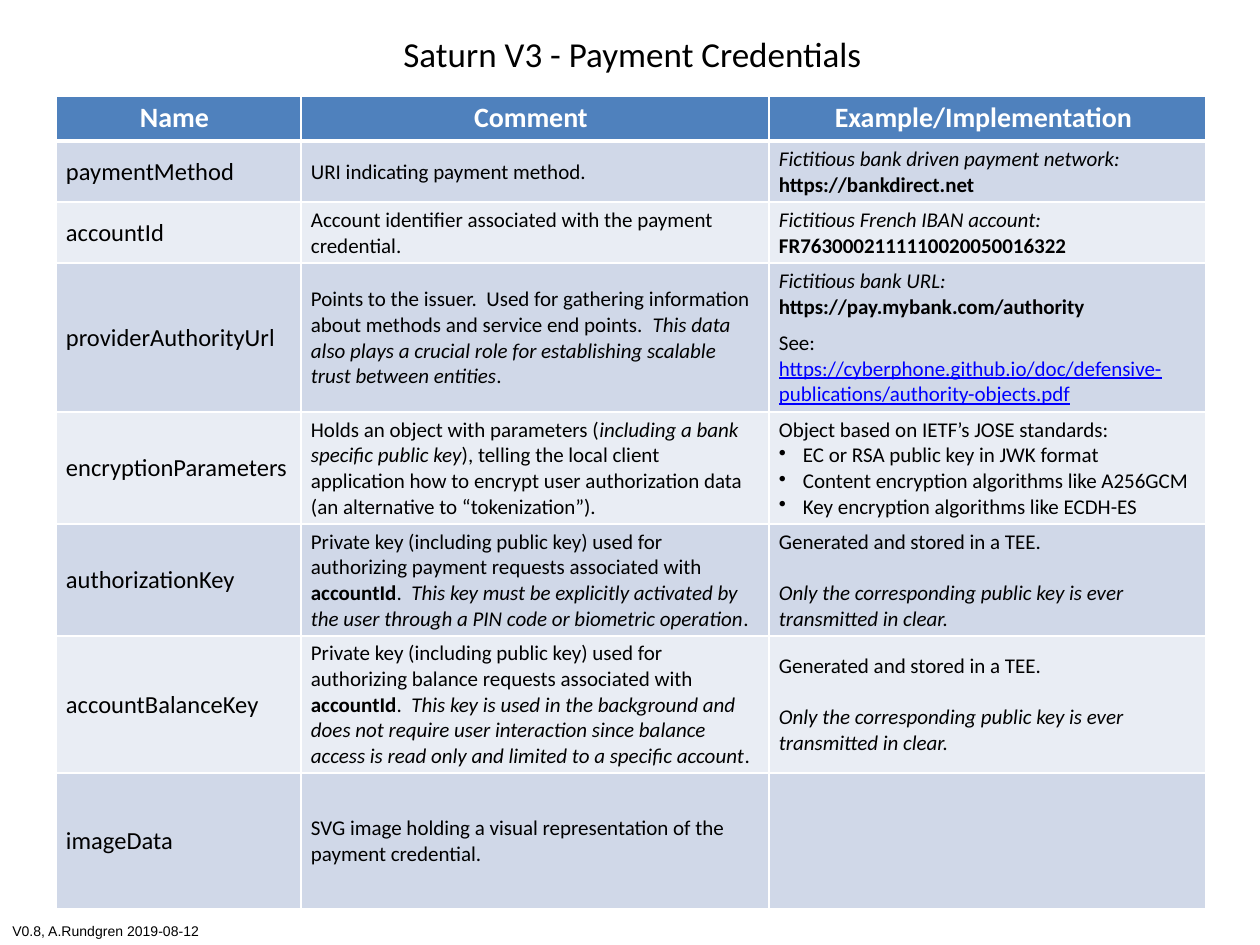
"""Build the payment credentials table slide."""
from lxml import etree
from pptx import Presentation
from pptx import util as u
from pptx.dml.color import RGBColor
from pptx.enum import text
from pptx.oxml import ns

THEME = {
    "font": "Calibri", "foot_font": "Arial",
    "ink": "000000", "white": "FFFFFF", "link": "0000FF",
    "head": "4F81BD", "bands": ("D0D8E8", "E9EDF4"),
    "title": 20, "header": 16, "name": 14, "body": 12, "foot": 8,
}
TITLE = "Saturn V3 - Payment Credentials"
FOOTER = "V0.8, A.Rundgren 2019-08-12"
HEADERS = ("Name", "Comment", "Example/Implementation")

I, B = {"italic": True}, {"bold": True}
LINK = {"underline": True, "color": THEME["link"]}
BULLET, APART, LINE_APART = {"bullet": "•"}, {"before": 6}, {"before": 14.6}
TEE = [({}, ["Generated and stored in a TEE."]),
       (LINE_APART, [("Only the corresponding public key is ever transmitted in clear.", I)])]
ROWS = [
    ("paymentMethod", ["URI indicating payment method."],
     [({}, [("Fictitious bank driven payment network:", I)]),
      ({}, [("https://bankdirect.net", B)])]),
    ("accountId", ["Account identifier associated with the payment credential."],
     [({}, [("Fictitious French IBAN account:", I)]),
      ({}, [("FR7630002111110020050016322", B)])]),
    ("providerAuthorityUrl",
     ["Points to the issuer.  Used for gathering information about methods and service end points.  ",
      ("This data also plays a crucial role for establishing scalable trust between entities", I), "."],
     [({}, [("Fictitious bank URL:", I)]),
      ({}, [("https://pay.mybank.com/authority", B)]),
      (APART, ["See:", "\n",
               ("https://cyberphone.github.io/doc/defensive-publications/authority-objects.pdf", LINK)])]),
    ("encryptionParameters",
     ["Holds an object with parameters (", ("including a bank specific public key", I),
      "), telling the local client application how to encrypt user authorization data "
      "(an alternative to “tokenization”)."],
     [({}, ["Object based on IETF’s JOSE standards:"]),
      (BULLET, ["EC or RSA public key in JWK format"]),
      (BULLET, ["Content encryption algorithms like A256GCM"]),
      (BULLET, ["Key encryption algorithms like ECDH-ES"])]),
    ("authorizationKey",
     ["Private key (including public key) used for authorizing payment requests associated with ",
      ("accountId", B), ".  ",
      ("This key must be explicitly activated by the user through a PIN code or biometric operation", I),
      "."], TEE),
    ("accountBalanceKey",
     ["Private key (including public key) used for authorizing balance requests associated with ",
      ("accountId", B), ".  ",
      ("This key is used in the background and does not require user interaction since balance "
       "access is read only and limited to a specific account", I), "."], TEE),
    ("imageData", ["SVG image holding a visual representation of the payment credential."], []),
]

TITLE_BOX, FOOT_BOX = (388, 26, 489, 55), (0, 916, 215, 30)
TABLE_LEFT, TABLE_TOP = 56, 96
COLS = (245, 468, 437)
HEIGHTS = (45, 61, 61, 149, 112, 112, 137, 136)
HEAD_INSET = (5, 5, 13, 6)
INSETS = ((10, 5, 5, 4), (10, 5, 13, 4), (10, 5, 13, 4))
SIDES = ("left", "top", "right", "bottom")


def px(n):
    return u.Emu(n * 914400 // 126)


def add_run(p, words, size, color=THEME["ink"], name=THEME["font"], **style):
    r = p.add_run()
    r.text = words
    for key, value in {"size": u.Pt(size), "name": name, **style}.items():
        setattr(r.font, key, value)
    r.font.color.rgb = RGBColor.from_string(color)


def write(tf, paragraphs, size, align=text.PP_ALIGN.LEFT, **style):
    for i, (layout, runs) in enumerate(paragraphs):
        p = tf.add_paragraph() if i else tf.paragraphs[0]
        if "bullet" in layout:
            props = p._p.get_or_add_pPr()
            props.set("marL", str(px(24)))
            props.set("indent", str(-px(24)))
            etree.SubElement(props, ns.qn("a:buChar"), char=layout["bullet"])
        p.alignment = align
        if "before" in layout:
            p.space_before = u.Pt(layout["before"])
        for item in runs:
            if item == "\n":
                p.add_line_break()
                continue
            words, extra = (item, {}) if isinstance(item, str) else item
            add_run(p, words, size, **{**style, **extra})


def dress(cell, fill, inset, top, bottom):
    cell.vertical_anchor = text.MSO_ANCHOR.MIDDLE
    for side, gap in zip(SIDES, inset):
        setattr(cell, "margin_" + side, px(gap))
    props = cell._tc.get_or_add_tcPr()
    for side, width in (("L", 1), ("R", 1), ("T", top), ("B", bottom)):
        line = etree.SubElement(props, ns.qn("a:ln" + side), w=str(u.Pt(width)))
        solid = etree.SubElement(line, ns.qn("a:solidFill"))
        etree.SubElement(solid, ns.qn("a:srgbClr"), val=THEME["white"])
    cell.fill.solid()
    cell.fill.fore_color.rgb = RGBColor.from_string(fill)


def add_credentials(s):
    frame = s.shapes.add_table(len(ROWS) + 1, len(COLS), px(TABLE_LEFT), px(TABLE_TOP),
                               px(sum(COLS)), px(sum(HEIGHTS)))
    table = frame.table
    for column, width in zip(table.columns, COLS):
        column.width = px(width)
    for row, height in zip(table.rows, HEIGHTS):
        row.height = px(height)
    for c, label in enumerate(HEADERS):
        cell = table.cell(0, c)
        dress(cell, THEME["head"], HEAD_INSET, 1, 3)
        write(cell.text_frame, [({}, [label])], THEME["header"], text.PP_ALIGN.CENTER,
              color=THEME["white"], bold=True)
    for n, (name, comment, example) in enumerate(ROWS):
        contents = ([({}, [name])], [({}, comment)], example)
        for c, paragraphs in enumerate(contents):
            cell = table.cell(n + 1, c)
            dress(cell, THEME["bands"][n % 2], INSETS[c], 1 if n else 3, 1)
            write(cell.text_frame, paragraphs, THEME["body" if c else "name"])


def main():
    prs = Presentation()
    prs.slide_width, prs.slide_height = px(1260), px(945)
    s = prs.slides.add_slide(prs.slide_layouts[5])
    title = s.shapes.title
    for key, value in zip(("left", "top", "width", "height"), TITLE_BOX):
        setattr(title, key, px(value))
    title.text_frame.word_wrap = False
    write(title.text_frame, [({}, [TITLE])], THEME["title"], text.PP_ALIGN.CENTER)
    add_credentials(s)
    foot = s.shapes.add_textbox(*map(px, FOOT_BOX))
    foot.text_frame.word_wrap = False
    write(foot.text_frame, [({}, [FOOTER])], THEME["foot"], name=THEME["foot_font"])
    prs.save("out.pptx")


if __name__ == "__main__":
    main()
